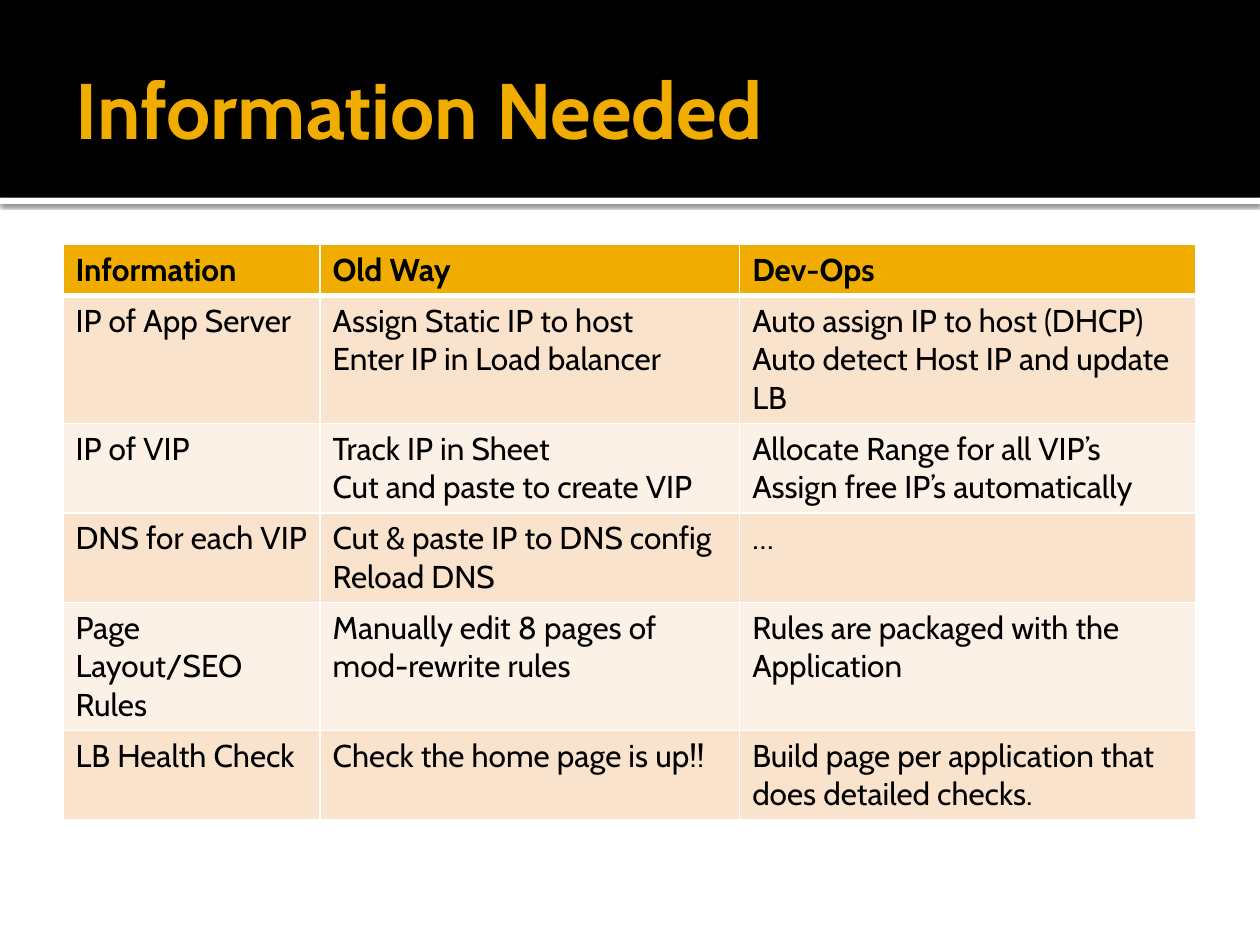
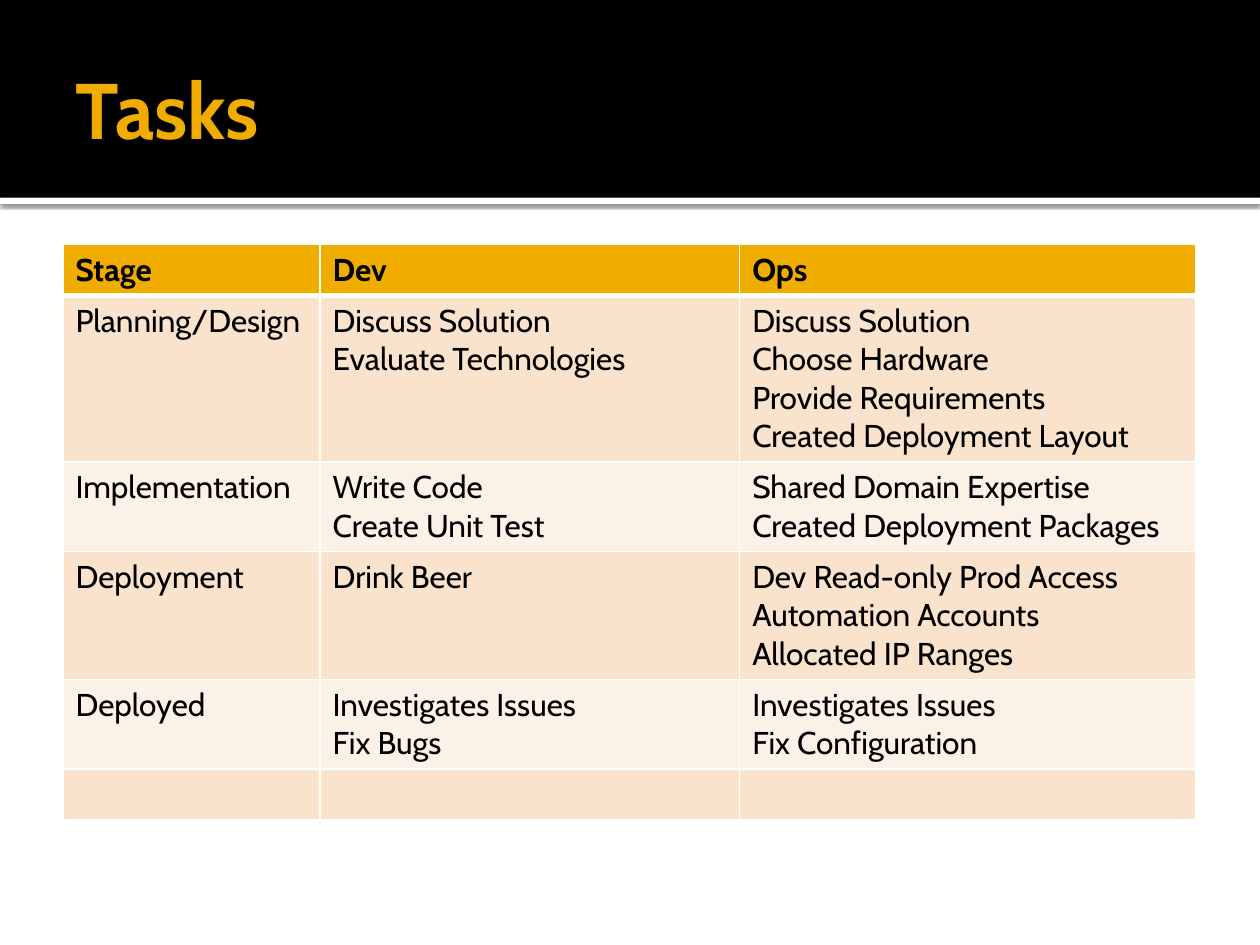
"""Build two table slides that compare manual and automated operations."""
from dataclasses import dataclass

from lxml import etree
from pptx import Presentation
from pptx.dml.color import RGBColor
from pptx.enum.shapes import MSO_SHAPE
from pptx.enum.text import MSO_ANCHOR, MSO_AUTO_SIZE, PP_ALIGN
from pptx.oxml.ns import qn
from pptx.util import Pt

RECTANGLE = MSO_SHAPE.RECTANGLE
MIDDLE = MSO_ANCHOR.MIDDLE
NO_AUTOFIT = MSO_AUTO_SIZE.NONE
LEFT = PP_ALIGN.LEFT

SLIDES = [
    ("Information Needed", [
        ("Information", "Old Way", "Dev-Ops"),
        ("IP of App Server",
         "Assign Static IP to host\nEnter IP in Load balancer",
         "Auto assign IP to host (DHCP)\nAuto detect Host IP and update LB"),
        ("IP of VIP",
         "Track IP in Sheet\nCut and paste to create VIP",
         "Allocate Range for all VIP’s\nAssign free IP’s automatically"),
        ("DNS for each VIP", "Cut & paste IP to DNS config\nReload DNS", "…"),
        ("Page Layout/SEO Rules",
         "Manually edit 8 pages of\nmod-rewrite rules",
         "Rules are packaged with the Application"),
        ("LB Health Check", "Check the home page is up!!",
         "Build page per application that does detailed checks."),
    ]),
    ("Tasks", [
        ("Stage", "Dev", "Ops"),
        ("Planning/Design",
         "Discuss Solution\nEvaluate Technologies",
         "Discuss Solution\nChoose Hardware\nProvide Requirements\nCreated Deployment Layout"),
        ("Implementation",
         "Write Code\nCreate Unit Test",
         "Shared Domain Expertise\nCreated Deployment Packages"),
        ("Deployment", "Drink Beer",
         "Dev Read-only Prod Access\nAutomation Accounts\nAllocated IP Ranges"),
        ("Deployed",
         "Investigates Issues\nFix Bugs",
         "Investigates Issues\nFix Configuration"),
        ("", "", ""),
    ]),
]


@dataclass(frozen=True)
class Theme:
    font: str = "Cabin"
    title_size: float = 45
    table_size: float = 18
    accent: str = "F0AD00"
    dark: str = "000000"
    light: str = "FFFFFF"
    stripes: tuple = ("FCF1E7", "F9E3CC")
    thin_border: float = 1
    thick_border: float = 3


THEME = Theme()
SLIDE_WIDTH, SLIDE_HEIGHT = 720, 540
BAND_HEIGHT, STRIP_HEIGHT = 113, 3.6
MARGIN = 36
TITLE_TOP, TITLE_HEIGHT = 12.24, 98.64
TABLE_TOP, ROW_HEIGHT = 139.7, 29.2
COLUMN_WIDTHS = (146.9, 239.8, 260.6)


def style_text(text_frame, size, color, bold):
    for paragraph in text_frame.paragraphs:
        paragraph.alignment = LEFT
        for run in paragraph.runs:
            run.font.name = THEME.font
            run.font.size = Pt(size)
            run.font.bold = bold
            run.font.color.rgb = RGBColor.from_string(color)


def add_color(parent, color):
    return etree.SubElement(parent, qn("a:srgbClr"), val=color)


def add_band(slide, top, height, color):
    band = slide.shapes.add_shape(RECTANGLE, 0, Pt(top), Pt(SLIDE_WIDTH), Pt(height))
    band.fill.solid()
    band.fill.fore_color.rgb = RGBColor.from_string(color)
    band.line.fill.background()
    band.shadow.inherit = False
    return band


def add_shadow(shape):
    effects = shape.element.spPr.find(qn("a:effectLst"))
    shadow = etree.SubElement(effects, qn("a:outerShdw"), blurRad=str(Pt(2.5)),
                              dist=str(Pt(0.8)), dir="5400000", rotWithShape="0")
    etree.SubElement(add_color(shadow, THEME.dark), qn("a:alpha"), val="60000")


def move_to_layout(bands, layout):
    for index, band in enumerate(bands):
        band.element.nvSpPr.cNvPr.set("id", str(100 + index))
        layout.shapes.element.insert(2 + index, band.element)


def format_title(title, text):
    title.left, title.top = Pt(MARGIN), Pt(TITLE_TOP)
    title.width, title.height = Pt(SLIDE_WIDTH - 2 * MARGIN), Pt(TITLE_HEIGHT)
    frame = title.text_frame
    frame.text = text
    frame.auto_size = NO_AUTOFIT
    frame.vertical_anchor = MIDDLE
    frame.margin_left = Pt(7.2)
    frame.margin_right = frame.margin_top = frame.margin_bottom = Pt(3.6)
    style_text(frame, THEME.title_size, THEME.accent, True)


def add_borders(cell, row_index):
    properties = cell._tc.get_or_add_tcPr()
    thick_side = {0: "lnB", 1: "lnT"}.get(row_index)
    for index, side in enumerate(("lnL", "lnR", "lnT", "lnB")):
        width = THEME.thick_border if side == thick_side else THEME.thin_border
        line = etree.Element(qn(f"a:{side}"), w=str(Pt(width)))
        add_color(etree.SubElement(line, qn("a:solidFill")), THEME.light)
        properties.insert(index, line)


def add_comparison_table(slide, rows):
    frame = slide.shapes.add_table(
        len(rows), len(COLUMN_WIDTHS), Pt(MARGIN), Pt(TABLE_TOP),
        Pt(sum(COLUMN_WIDTHS)), Pt(ROW_HEIGHT * len(rows)))
    table = frame.table
    for column, width in zip(table.columns, COLUMN_WIDTHS):
        column.width = Pt(width)
    for row_index, texts in enumerate(rows):
        table.rows[row_index].height = Pt(ROW_HEIGHT)
        is_header = row_index == 0
        color = THEME.accent if is_header else THEME.stripes[row_index % 2]
        for column_index, text in enumerate(texts):
            cell = table.cell(row_index, column_index)
            cell.text_frame.text = text
            style_text(cell.text_frame, THEME.table_size, THEME.dark, is_header)
            cell.fill.solid()
            cell.fill.fore_color.rgb = RGBColor.from_string(color)
            add_borders(cell, row_index)


def main():
    presentation = Presentation()
    presentation.slide_width, presentation.slide_height = Pt(SLIDE_WIDTH), Pt(SLIDE_HEIGHT)
    layout = presentation.slide_layouts.get_by_name("Title Only")
    for title, rows in SLIDES:
        slide = presentation.slides.add_slide(layout)
        format_title(slide.shapes.title, title)
        add_comparison_table(slide, rows)
    strip = add_band(slide, BAND_HEIGHT, STRIP_HEIGHT, THEME.light)
    add_shadow(strip)
    title_band = add_band(slide, 0, BAND_HEIGHT, THEME.dark)
    move_to_layout((strip, title_band), layout)
    presentation.save("out.pptx")


if __name__ == "__main__":
    main()
